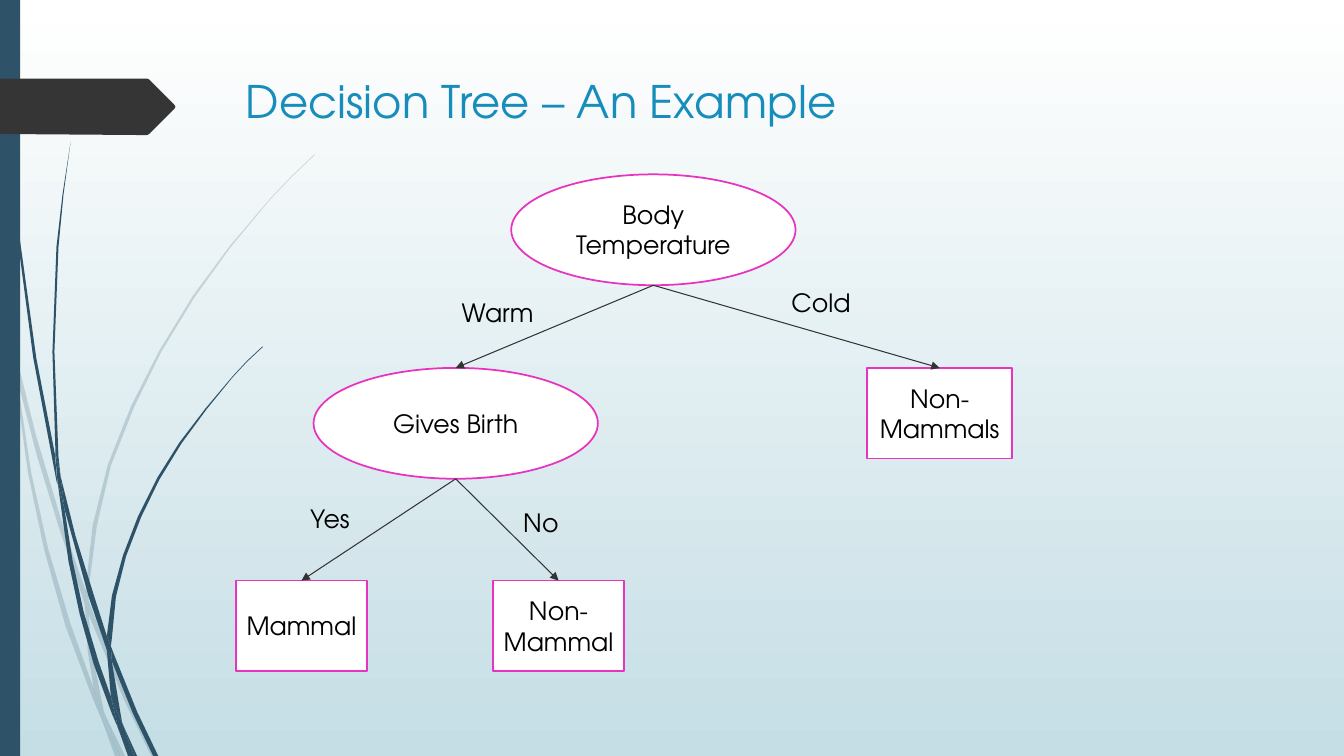
"""Build a slide that shows a small decision tree."""
from lxml import etree
from pptx import Presentation
from pptx import util as u
from pptx.dml import color
from pptx.enum import shapes, text
from pptx.oxml import ns

COLORS = {"top": "FFFFFF", "bottom": "C5DEE5", "stem": "2E5369", "tag": "353535",
          "title": "178DBB", "node": "FFFFFF", "border": "E833BF", "text": "000000", "branch": "333333"}
FONT = "TeX Gyre Adventor"
TITLE_FORMAT = {"name": FONT, "size": u.Pt(32)}
BODY_FORMAT = {"name": FONT, "size": u.Pt(18)}
NODE_FRAME = {"word_wrap": True, "vertical_anchor": text.MSO_ANCHOR.MIDDLE}
LABEL_FRAME = {"word_wrap": True, "vertical_anchor": text.MSO_ANCHOR.TOP}
OVAL, RECTANGLE = shapes.MSO_SHAPE.OVAL, shapes.MSO_SHAPE.RECTANGLE

PALE_STEMS = [
    [(.11, 3.5), (.09, 3.22), (0, 2.82), (0, 2.99), (.1, 3.44)],
    [(.58, 5.22), (.84, 5.99), (.85, 5.86), (.62, 5.2), (.36, 4.33), (.14, 3.45), (.17, 3.76), (.36, 4.5)],
    [(.92, 6.07), (.88, 5.96), (.88, 6.1), (1.23, 6.94), (1.5, 7.5), (1.55, 7.5), (1.27, 6.92)],
    [(1.19, 7.5), (1.24, 7.5), (1.05, 7.11)],
    [(.93, 6.83), (.7, 6.19), (.48, 5.45), (.31, 4.69), (.17, 3.76), (.11, 3.5), (.28, 4.7),
     (.44, 5.46), (.65, 6.21), (.92, 6.93), (1.01, 7.14), (.99, 7.07)],
    [(.84, 5.99), (.87, 6.46), (.93, 6.83), (.96, 6.92), (1.05, 7.11), (1.03, 7.06), (.91, 6.46),
     (.88, 6.1), (.88, 6.08)],
    [(.88, 5.84), (.96, 5.22), (1.1, 4.62), (1.33, 4.04), (1.6, 3.49), (1.93, 2.95), (2.29, 2.45),
     (2.68, 1.98), (2.9, 1.75), (3.12, 1.54), (3.12, 1.53), (2.89, 1.75), (2.68, 1.97), (2.28, 2.44),
     (1.91, 2.94), (1.58, 3.48), (1.3, 4.03), (1.07, 4.61), (.92, 5.21), (.85, 5.84), (.85, 5.86), (.88, 5.96)],
    [(1.01, 7.14), (1.14, 7.5), (1.19, 7.5)],
    [(.88, 6.08), (.88, 6.1), (.88, 5.96), (.85, 5.86), (.84, 5.99)],
    [(.96, 6.92), (.93, 6.83), (.99, 7.07), (1.01, 7.14), (1.19, 7.5), (1.05, 7.11)],
]
DARK_STEMS = [
    [(.07, 1.1), (.17, 2.33), (.33, 3.55), (.56, 4.77), (.57, 4.81), (.55, 4.57), (.55, 4.53),
     (.36, 3.55), (.19, 2.32), (.08, 1.09), (.05, .48), (.04, 0), (.03, 0), (.04, .48)],
    [(.88, 5.92), (1.06, 6.45), (1.06, 6.31), (.93, 5.9), (.75, 5.32), (.6, 4.72), (.64, 5.05)],
    [(1.13, 6.49), (1.1, 6.41), (1.11, 6.56), (1.32, 7.08), (1.52, 7.5), (1.57, 7.5), (1.36, 7.06)],
    [(1.1, 6.91), (.98, 6.57), (.83, 6.07), (.72, 5.56), (.64, 5.05), (.57, 4.77), (.68, 5.57),
     (.79, 6.09), (.93, 6.59), (1.11, 7.08), (1.17, 7.22), (1.16, 7.17)],
    [(.6, 4.72), (.58, 4.53), (.54, 3.49), (.58, 2.45), (.63, 1.93), (.7, 1.41), (.62, 1.93),
     (.56, 2.45), (.52, 3.49), (.55, 4.49)],
    [(1.33, 7.5), (1.36, 7.5), (1.22, 7.19)],
    [(.57, 4.77), (.64, 5.05), (.6, 4.72), (.55, 4.49), (.55, 4.53)],
    [(1.11, 6.33), (1.15, 5.92), (1.25, 5.52), (1.4, 5.13), (1.58, 4.76), (1.8, 4.4), (2.05, 4.06),
     (2.31, 3.74), (2.45, 3.59), (2.61, 3.44), (2.6, 3.44), (2.45, 3.58), (2.31, 3.73), (2.04, 4.05),
     (1.78, 4.39), (1.56, 4.74), (1.37, 5.12), (1.22, 5.51), (1.11, 5.91), (1.06, 6.31), (1.1, 6.41)],
    [(1.17, 7.22), (1.27, 7.5), (1.31, 7.5)],
    [(1.06, 6.45), (1.1, 6.91), (1.16, 7.06), (1.22, 7.19), (1.21, 7.16), (1.11, 6.56), (1.09, 6.51)],
    [(1.06, 6.45), (1.09, 6.51), (1.11, 6.56), (1.1, 6.41), (1.06, 6.31)],
    [(1.16, 7.06), (1.1, 6.91), (1.16, 7.17), (1.17, 7.22), (1.3, 7.5), (1.33, 7.5), (1.22, 7.19)],
]
TAG = [(1.73, 1.08), (1.48, 1.33), (1.46, 1.34), (1.36, 1.34), (0, 1.33), (0, .78), (1.46, .78),
       (1.48, .79), (1.73, 1.04), (1.74, 1.06)]

NODES = {
    "temperature": (OVAL, "Body Temperature", 2.73, 0, 2.82, 1.1),
    "birth": (OVAL, "Gives Birth", .77, 1.92, 2.82, 1.1),
    "mammal": (RECTANGLE, "Mammal", 0, 4.03, 1.3, .9),
    "non_mammal": (RECTANGLE, "Non-Mammal", 2.55, 4.03, 1.3, .9),
    "non_mammals": (RECTANGLE, "Non-Mammals", 6.26, 1.92, 1.44, .9),
}
BRANCHES = [
    ("temperature", "birth", "Warm", 2.14, 1.17),
    ("temperature", "non_mammals", "Cold", 5.41, 1.07),
    ("birth", "mammal", "Yes", .64, 3.21),
    ("birth", "non_mammal", "No", 2.75, 3.25),
]


def rgb(name):
    """Return a named colour."""
    return color.RGBColor.from_string(COLORS[name])


def apply_format(target, values):
    """Set each attribute in a dict of format values."""
    for name, value in values.items():
        setattr(target, name, value)


def write(shape, words, frame_format, font_format, ink, alignment):
    """Put one formatted paragraph in a shape."""
    apply_format(shape.text_frame, frame_format)
    paragraph = shape.text_frame.paragraphs[0]
    paragraph.alignment = alignment
    run = paragraph.add_run()
    run.text = words
    apply_format(run.font, font_format)
    run.font.color.rgb = rgb(ink)


def paint(shape, fill, line=None):
    """Give a shape a solid fill and an optional border."""
    shape.shadow.inherit = False
    shape.fill.solid()
    shape.fill.fore_color.rgb = rgb(fill)
    if line:
        shape.line.color.rgb = rgb(line)
        shape.line.width = u.Pt(1.25)
    else:
        shape.line.fill.background()


def add_outline(slide, left, top, outline, fill, alpha=None):
    """Draw a closed filled outline, see-through if alpha is given."""
    points = [(u.Inches(left + x), u.Inches(top + y)) for x, y in outline]
    builder = slide.shapes.build_freeform(*points[0])
    builder.add_line_segments(points[1:], close=True)
    shape = builder.convert_to_shape()
    paint(shape, fill)
    if alpha:
        solid = shape._element.spPr.find(ns.qn("a:solidFill"))
        etree.SubElement(solid[0], ns.qn("a:alpha"), val=str(alpha * 1000))


def add_decoration(slide, left, top, height):
    """Draw the stems, the side bar and the tag at the left edge."""
    for stems, alpha in ((PALE_STEMS, 20), (DARK_STEMS, None)):
        for stem in stems:
            add_outline(slide, left, top, stem, "stem", alpha)
    bar = slide.shapes.add_shape(RECTANGLE, *map(u.Inches, (left, top, .2, height)))
    paint(bar, "stem")
    add_outline(slide, left, top, TAG, "tag")


def add_text(slide, box, words, font_format, ink):
    """Add a left-aligned text box."""
    textbox = slide.shapes.add_textbox(*map(u.Inches, box))
    write(textbox, words, LABEL_FRAME, font_format, ink, text.PP_ALIGN.LEFT)


def add_branch(slide, parent, child):
    """Draw an arrow from below the parent to the top of the child."""
    branch = slide.shapes.add_connector(
        shapes.MSO_CONNECTOR.STRAIGHT, parent.left + parent.width // 2, parent.top + parent.height,
        child.left + child.width // 2, child.top)
    branch.end_connect(child, 0)
    branch.line.color.rgb = rgb("branch")
    branch.line.width = u.Pt(.75)
    etree.SubElement(branch.line._get_or_add_ln(), ns.qn("a:tailEnd"), type="triangle")
    etree.SubElement(branch._element.spPr, ns.qn("a:effectLst"))


def add_tree(slide, left, top):
    """Place the nodes, branches and branch labels of the tree."""
    nodes = {}
    for key, (kind, words, x, y, width, height) in NODES.items():
        node = slide.shapes.add_shape(kind, *map(u.Inches, (left + x, top + y, width, height)))
        paint(node, "node", "border")
        write(node, words, NODE_FRAME, BODY_FORMAT, "text", text.PP_ALIGN.CENTER)
        nodes[key] = node
    for parent, child, answer, x, y in BRANCHES:
        add_branch(slide, nodes[parent], nodes[child])
        add_text(slide, (left + x, top + y, 1.02, .4), answer, BODY_FORMAT, "text")


def add_background(slide):
    """Fill the background with a gradient from top to bottom."""
    fill = slide.background.fill
    fill.gradient()
    fill.gradient_angle = 270
    for stop, name in zip(fill.gradient_stops, ("top", "bottom")):
        stop.color.rgb = rgb(name)


def main():
    """Build and save the presentation."""
    presentation = Presentation()
    presentation.slide_width, presentation.slide_height = u.Inches(13.33), u.Inches(7.5)
    slide = presentation.slides.add_slide(presentation.slide_layouts[6])
    add_background(slide)
    add_decoration(slide, 0, 0, 7.5)
    add_text(slide, (2.34, .68, 10.12, .85), "Decision Tree – An Example", TITLE_FORMAT, "title")
    add_tree(slide, 2.34, 1.73)
    presentation.save("out.pptx")


if __name__ == "__main__":
    main()
